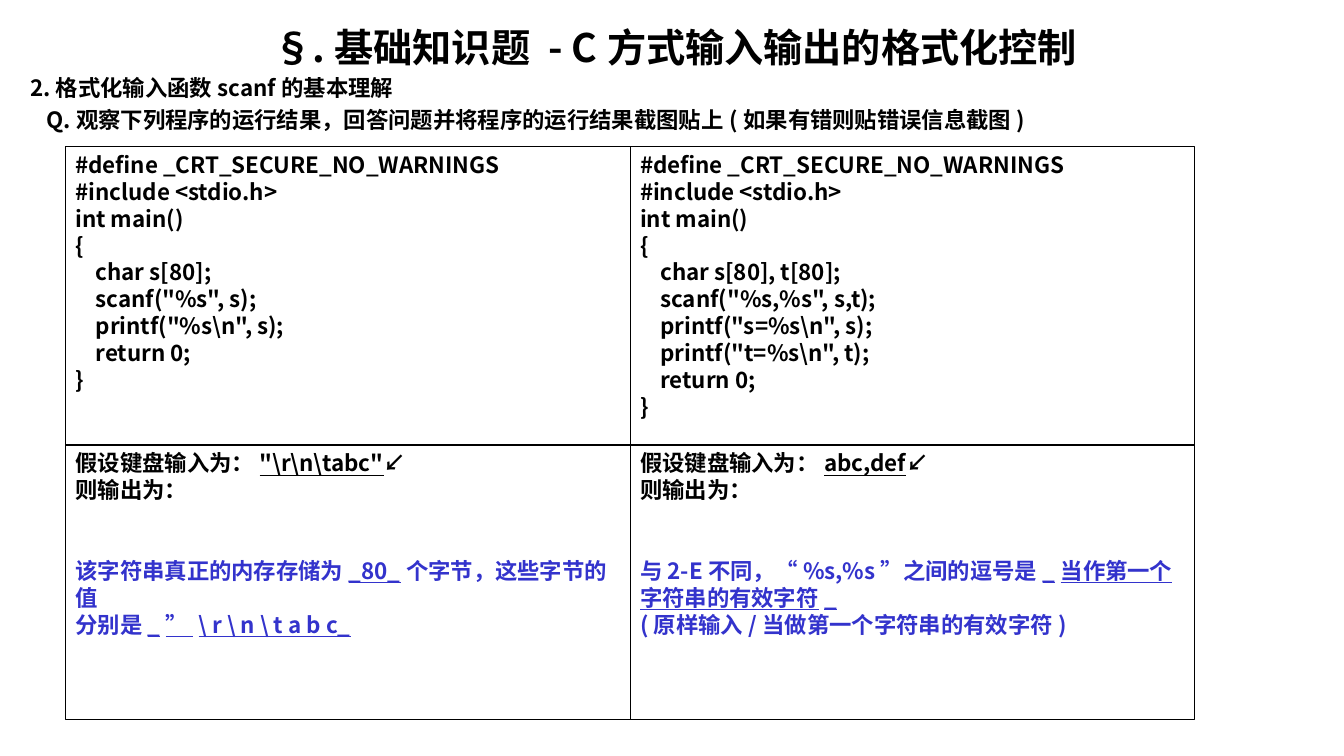
"""Builds a slide with two scanf exercises side by side, code above answers."""
from lxml import etree
from pptx import Presentation, util as u
from pptx.dml.color import RGBColor
from pptx.enum import shapes, text
from pptx.oxml.ns import qn

BLACK = RGBColor(0x00, 0x00, 0x00)
BLUE = RGBColor(0x33, 0x33, 0xCC)
FONT = "Noto Sans CJK SC"
SIZE, LEADING = 16, 1.2
LEFT, COL_W = 0.65, 5.6
ROWS = [(1.45, 2.97), (4.41, 2.73)]

CODE_ONE = r'''#define _CRT_SECURE_NO_WARNINGS
#include <stdio.h>
int main()
{
    char s[80];
    scanf("%s", s);
    printf("%s\n", s);
    return 0;
}'''
CODE_TWO = r'''#define _CRT_SECURE_NO_WARNINGS
#include <stdio.h>
int main()
{
    char s[80], t[80];
    scanf("%s,%s", s,t);
    printf("s=%s\n", s);
    printf("t=%s\n", t);
    return 0;
}'''
INPUTS = [r'"\r\n\tabc"', "abc,def"]
ANSWERS = [
    [["该字符串真正的内存存储为", "_80_", "个字节，这些字节的值"],
     ["分别是", r"_” \ r \ n \ t a b c_"]],
    [["与2-E不同，“%s,%s”之间的逗号是", "_当作第一个字符串的有效字符_"],
     ["(原样输入/当做第一个字符串的有效字符)"]],
]


def add_line(tf, parts, size=SIZE, color=BLACK, before=0):
    """Adds a paragraph in which every second part is underlined."""
    p = tf.paragraphs[0]
    if p.runs:
        p = tf.add_paragraph()
    p.alignment = text.PP_ALIGN.LEFT
    p.line_spacing = u.Pt(size * LEADING)
    p.space_before = u.Pt(before)
    for i, part in enumerate(parts):
        r = p.add_run()
        r.text = part
        if i % 2:
            r.font.underline = True
    p.font.size = u.Pt(size)
    p.font.bold = True
    p.font.color.rgb = color
    p.font.name = FONT
    etree.SubElement(p._p.pPr.find(qn("a:defRPr")), qn("a:ea"), typeface=FONT)
    return p


prs = Presentation()
prs.slide_width, prs.slide_height = u.Inches(13.33), u.Inches(7.5)
s = prs.slides.add_slide(prs.slide_layouts[6])

tf = s.shapes.add_textbox(u.Inches(0.2), u.Inches(0.18), u.Inches(12.99), u.Inches(7.09)).text_frame
tf.word_wrap = True
p = add_line(tf, ["§.基础知识题 - C方式输入输出的格式化控制"], size=28)
p.alignment = text.PP_ALIGN.CENTER
add_line(tf, ["2.格式化输入函数scanf的基本理解"], before=SIZE * 0.2)
p = add_line(tf, ["Q.观察下列程序的运行结果，回答问题并将程序的运行结果截图贴上(如果有错则贴错误信息截图)"],
             before=SIZE * 0.2)
p._p.pPr.set("marL", str(u.Inches(0.16)))

for col, code in enumerate([CODE_ONE, CODE_TWO]):
    for row, (top, height) in enumerate(ROWS):
        sp = s.shapes.add_shape(shapes.MSO_SHAPE.RECTANGLE, u.Inches(LEFT + col * COL_W),
                                u.Inches(top), u.Inches(COL_W), u.Inches(height))
        sp.shadow.inherit = False
        sp.fill.background()
        sp.line.color.rgb = BLACK
        sp.line.width = u.Pt(0.75)
        tf = sp.text_frame
        tf.word_wrap = True
        tf.vertical_anchor = text.MSO_ANCHOR.TOP
        if row == 0:
            for line in code.splitlines():
                add_line(tf, [line])
        else:
            add_line(tf, ["假设键盘输入为：", INPUTS[col], "↙"])
            add_line(tf, ["则输出为："])
            for i, parts in enumerate(ANSWERS[col]):
                add_line(tf, parts, color=BLUE, before=0 if i else 2 * SIZE * LEADING)

prs.save("out.pptx")
